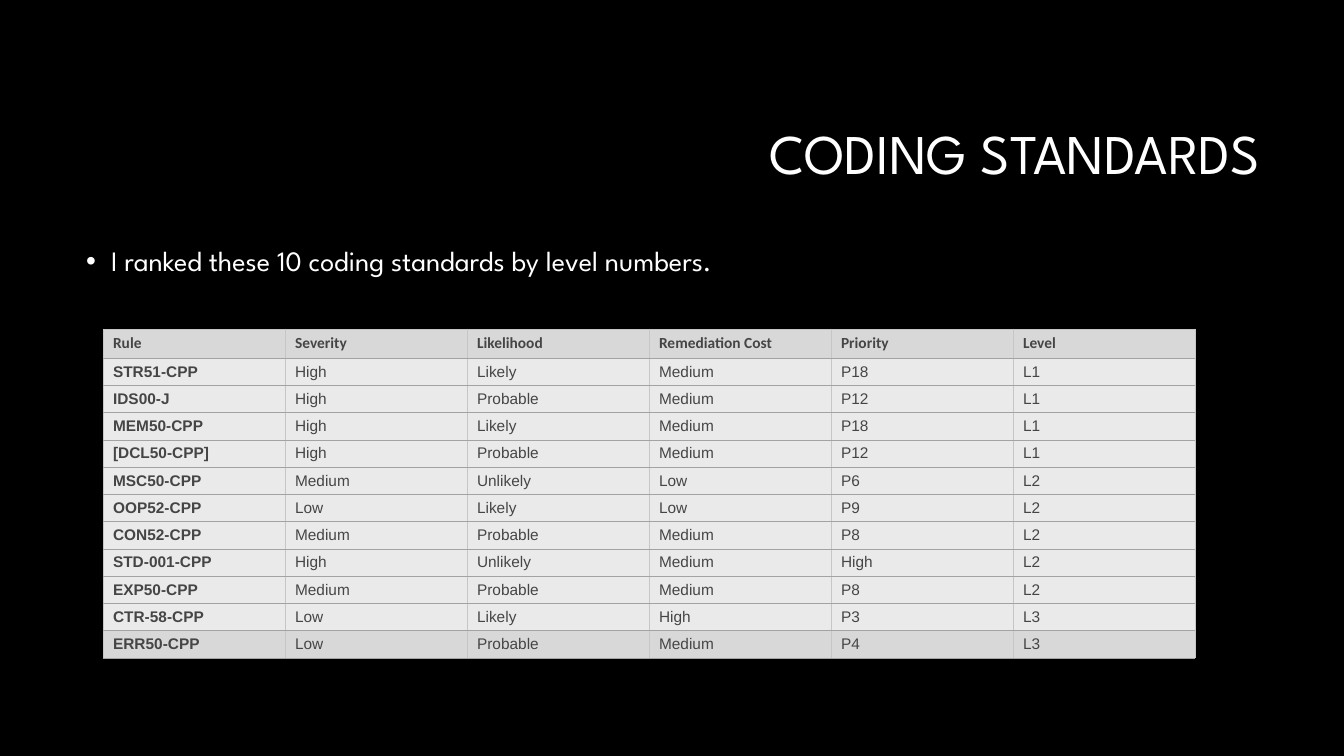
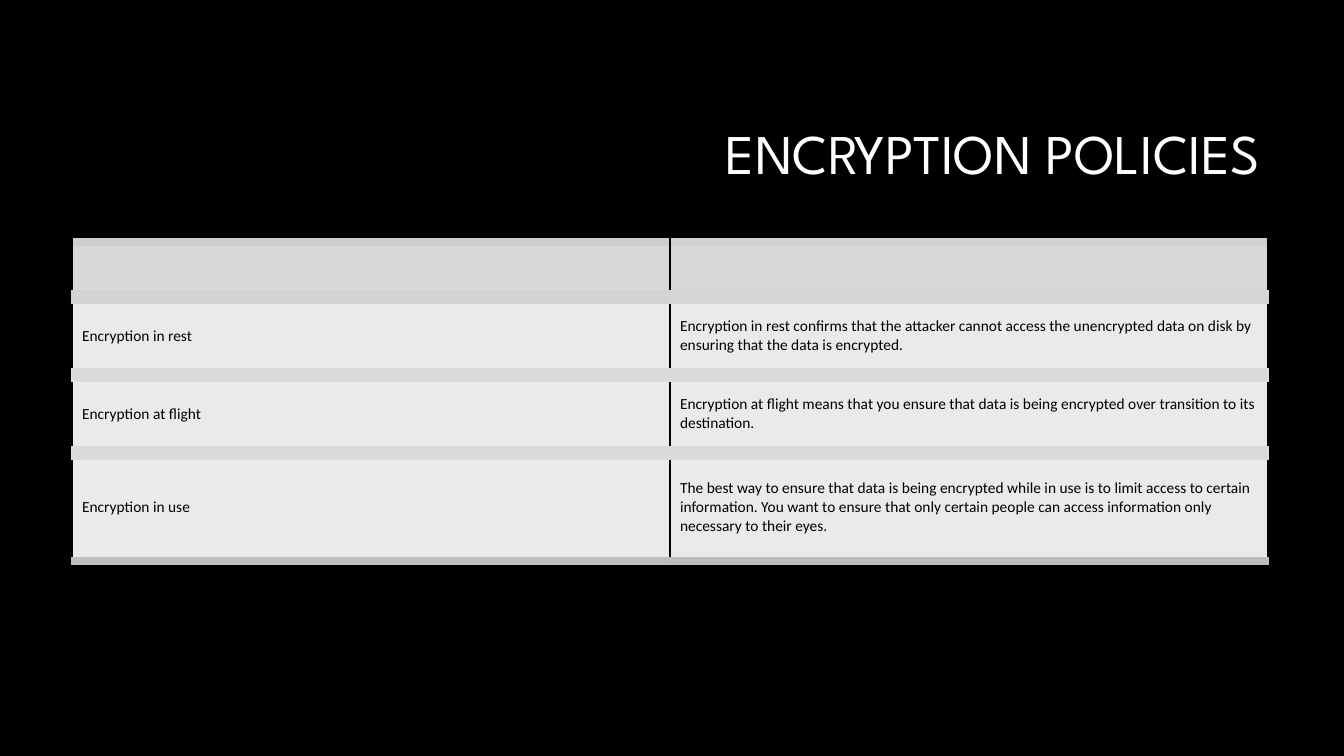
from dataclasses import dataclass

from lxml import etree
from pptx import Presentation
from pptx import util as u
from pptx.dml.color import RGBColor
from pptx.enum import text as t
from pptx.oxml.ns import qn

PAGE_WIDTH, PAGE_HEIGHT = 1344, 756
EMU_PER_PX = u.Inches(40 / 3) / PAGE_WIDTH

BLACK, WHITE, INK = "000000", "FFFFFF", "454545"
DARK_ROW, LIGHT_ROW = "D8D8D8", "EAEAEA"
DISPLAY_FONT, LABEL_FONT, DATA_FONT = "League Spartan", "Calibri", "Arial"
TITLE_ONLY, TITLE_AND_CONTENT = 5, 1

STANDARDS = [
    ("Rule", "Severity", "Likelihood", "Remediation Cost", "Priority", "Level"),
    ("STR51-CPP", "High", "Likely", "Medium", "P18", "L1"),
    ("IDS00-J", "High", "Probable", "Medium", "P12", "L1"),
    ("MEM50-CPP", "High", "Likely", "Medium", "P18", "L1"),
    ("[DCL50-CPP]", "High", "Probable", "Medium", "P12", "L1"),
    ("MSC50-CPP", "Medium", "Unlikely", "Low", "P6", "L2"),
    ("OOP52-CPP", "Low", "Likely", "Low", "P9", "L2"),
    ("CON52-CPP", "Medium", "Probable", "Medium", "P8", "L2"),
    ("STD-001-CPP", "High", "Unlikely", "Medium", "High", "L2"),
    ("EXP50-CPP", "Medium", "Probable", "Medium", "P8", "L2"),
    ("CTR-58-CPP", "Low", "Likely", "High", "P3", "L3"),
    ("ERR50-CPP", "Low", "Probable", "Medium", "P4", "L3"),
]

POLICIES = [
    ("", ""),
    ("Encryption in rest",
     "Encryption in rest confirms that the attacker cannot access the unencrypted "
     "data on disk by ensuring that the data is encrypted."),
    ("Encryption at flight",
     "Encryption at flight means that you ensure that data is being encrypted over "
     "transition to its destination."),
    ("Encryption in use",
     "The best way to ensure that data is being encrypted while in use is to limit "
     "access to certain information. You want to ensure that only certain people can "
     "access information only necessary to their eyes."),
]


@dataclass(frozen=True)
class Box:
    left: int
    top: int
    width: int
    height: int


@dataclass(frozen=True)
class Border:
    color: str
    width: float


@dataclass(frozen=True)
class Grid:
    """Rules of a table; edges lists the horizontal borders, one more than rows."""
    left: int
    top: int
    column_width: int
    row_heights: list[int]
    row_fills: list[str]
    side: Border
    edges: list[list[Border]]


TITLE_BOX = Box(320, 85, 950, 142)
BODY_BOX = Box(76, 242, 1192, 444)

STANDARDS_GRID = Grid(
    left=103, top=329, column_width=182,
    row_heights=[29] + [27] * 11,
    row_fills=[DARK_ROW] + [LIGHT_ROW] * 10 + [DARK_ROW],
    side=Border("C6C6C6", 0.5),
    edges=[[Border("C6C6C6", 0.5)] * 6] + [[Border("A3A3A3", 0.5)] * 6] * 12,
)

POLICIES_GRID = Grid(
    left=72, top=242, column_width=598,
    row_heights=[55, 78, 78, 108],
    row_fills=[DARK_ROW] + [LIGHT_ROW] * 3,
    side=Border(BLACK, 1),
    edges=[
        [Border("CECECE", 6), Border("D1D1D1", 6)],
        [Border("D3D3D3", 11), Border("D6D6D6", 11)],
        [Border("DBDBDB", 11)] * 2,
        [Border("DBDBDB", 11)] * 2,
        [Border("BFBFBF", 6), Border("BCBCBC", 6)],
    ],
)


def px(length: int) -> u.Emu:
    return u.Emu(round(length * EMU_PER_PX))


def rgb(color: str) -> RGBColor:
    return RGBColor.from_string(color)


def write(frame, text: str, *, size: int, font: str, color: str,
          bold: bool = False, align=t.PP_ALIGN.LEFT, spacing: float = 1.0):
    """Put one formatted paragraph into the frame and return it."""
    para = frame.paragraphs[0]
    para.alignment = align
    para.line_spacing = spacing
    para.space_before = u.Pt(0)
    span = para.add_run()
    span.text = text
    span.font.size = u.Pt(size)
    span.font.name = font
    span.font.bold = bold
    span.font.color.rgb = rgb(color)
    return para


def place(holder, box: Box, anchor) -> None:
    holder.left, holder.top = px(box.left), px(box.top)
    holder.width, holder.height = px(box.width), px(box.height)
    frame = holder.text_frame
    frame.word_wrap = True
    frame.auto_size = t.MSO_AUTO_SIZE.NONE
    frame.vertical_anchor = anchor


def add_page(deck, layout: int, title: str):
    page = deck.slides.add_slide(deck.slide_layouts[layout])
    holder = page.shapes.title
    place(holder, TITLE_BOX, t.MSO_ANCHOR.MIDDLE)
    write(holder.text_frame, title, size=40, font=DISPLAY_FONT, color=WHITE,
          align=t.PP_ALIGN.RIGHT, spacing=0.9)
    return page


def add_bullet(para, color: str, indent: int) -> None:
    properties = para._p.get_or_add_pPr()
    properties.set("marL", str(px(indent)))
    properties.set("indent", str(-px(indent)))
    bullet_color = etree.SubElement(properties, qn("a:buClr"))
    etree.SubElement(bullet_color, qn("a:srgbClr"), val=color)
    etree.SubElement(properties, qn("a:buFont"), typeface="Arial")
    etree.SubElement(properties, qn("a:buChar"), char="•")


def add_border(cell, side: str, border: Border) -> None:
    line = etree.SubElement(cell._tc.get_or_add_tcPr(), qn(f"a:ln{side}"),
                            w=str(u.Pt(border.width)))
    fill = etree.SubElement(line, qn("a:solidFill"))
    etree.SubElement(fill, qn("a:srgbClr"), val=border.color)


def add_grid(page, grid: Grid, rows: list[tuple[str, ...]]):
    """Add the table with its texts, borders and fills unformatted by any style."""
    columns = len(rows[0])
    table = page.shapes.add_table(
        len(rows), columns, px(grid.left), px(grid.top),
        px(grid.column_width * columns), px(sum(grid.row_heights))).table
    table.first_row = table.horz_banding = False
    for column in table.columns:
        column.width = px(grid.column_width)
    for r, height in enumerate(grid.row_heights):
        table.rows[r].height = px(height)
        for c in range(columns):
            cell = table.cell(r, c)
            cell.vertical_anchor = t.MSO_ANCHOR.MIDDLE
            for side, border in (("L", grid.side), ("R", grid.side),
                                 ("T", grid.edges[r][c]), ("B", grid.edges[r + 1][c])):
                add_border(cell, side, border)
            cell.fill.solid()
            cell.fill.fore_color.rgb = rgb(grid.row_fills[r])
    return table


def add_standards_page(deck) -> None:
    page = add_page(deck, TITLE_AND_CONTENT, "CODING STANDARDS")
    body = page.placeholders[1]
    place(body, BODY_BOX, t.MSO_ANCHOR.TOP)
    para = write(body.text_frame, "I ranked these 10 coding standards by level numbers.",
                 size=20, font=DISPLAY_FONT, color=WHITE, spacing=0.9)
    add_bullet(para, WHITE, 25)
    table = add_grid(page, STANDARDS_GRID, STANDARDS)
    for r, row in enumerate(STANDARDS):
        for c, text in enumerate(row):
            write(table.cell(r, c).text_frame, text, size=11, color=INK,
                  font=DATA_FONT if r else LABEL_FONT, bold=r == 0 or c == 0)


def add_policies_page(deck) -> None:
    page = add_page(deck, TITLE_ONLY, "ENCRYPTION POLICIES")
    table = add_grid(page, POLICIES_GRID, POLICIES)
    for r, row in enumerate(POLICIES):
        for c, text in enumerate(row):
            if text:
                write(table.cell(r, c).text_frame, text, size=11,
                      font=LABEL_FONT, color=BLACK)


def main() -> None:
    deck = Presentation()
    deck.slide_width, deck.slide_height = px(PAGE_WIDTH), px(PAGE_HEIGHT)
    backdrop = deck.slide_master.background.fill
    backdrop.solid()
    backdrop.fore_color.rgb = rgb(BLACK)
    add_standards_page(deck)
    add_policies_page(deck)
    deck.save("out.pptx")


if __name__ == "__main__":
    main()
